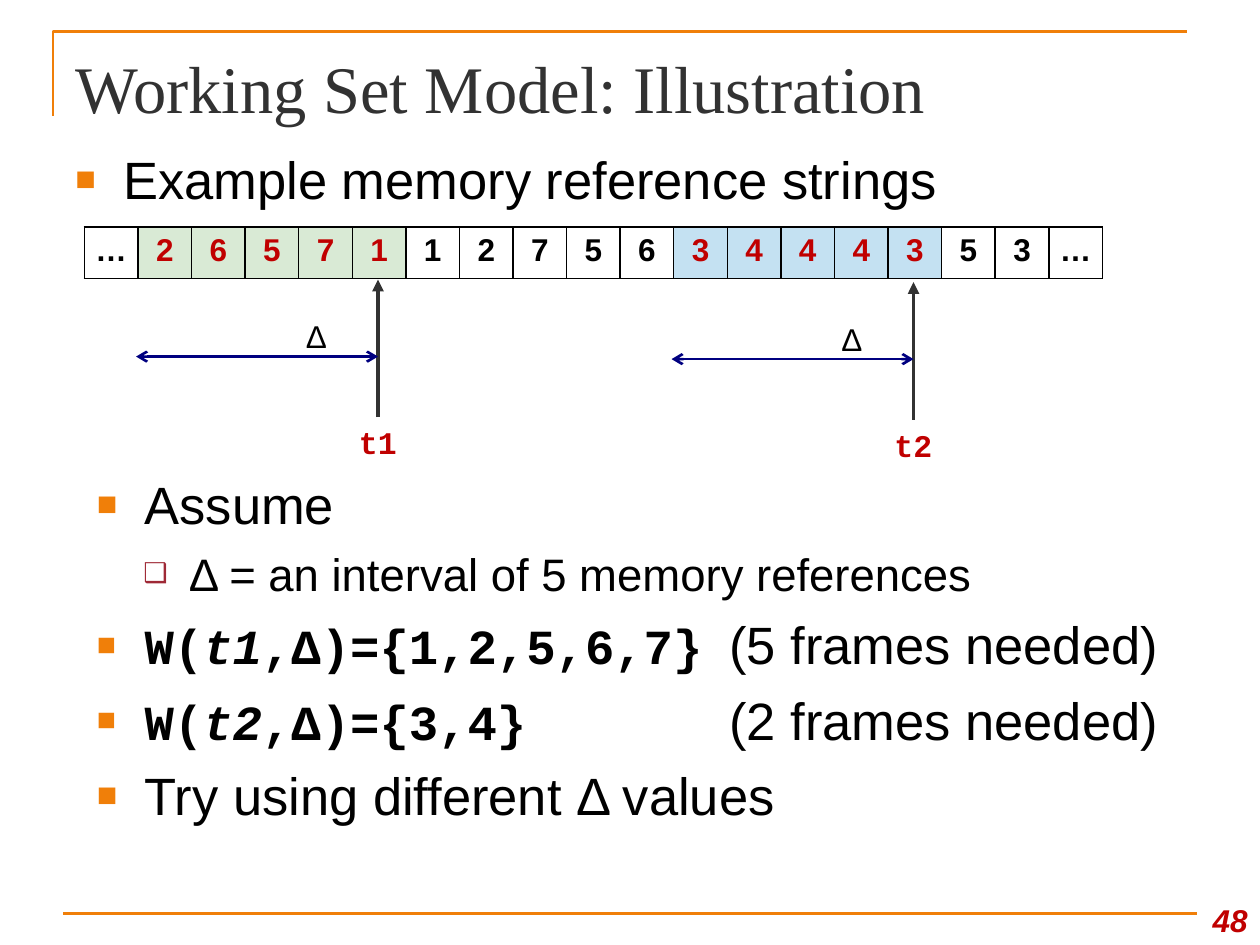
from lxml import etree
from pptx import Presentation
from pptx.dml.color import RGBColor
from pptx.enum.shapes import MSO_CONNECTOR
from pptx.enum.text import MSO_ANCHOR, PP_ALIGN
from pptx.oxml.ns import qn
from pptx.util import Inches, Pt

STRAIGHT = MSO_CONNECTOR.STRAIGHT
LEFT, CENTER, RIGHT = PP_ALIGN.LEFT, PP_ALIGN.CENTER, PP_ALIGN.RIGHT
TOP, MIDDLE, BOTTOM = MSO_ANCHOR.TOP, MSO_ANCHOR.MIDDLE, MSO_ANCHOR.BOTTOM

BLACK = RGBColor(0x00, 0x00, 0x00)
CHARCOAL = RGBColor(0x32, 0x32, 0x32)
ORANGE = RGBColor(0xF0, 0x7F, 0x09)
MAROON = RGBColor(0x9F, 0x29, 0x36)
RED = RGBColor(0xC0, 0x00, 0x00)
NAVY = RGBColor(0x00, 0x00, 0x80)
GREEN = RGBColor(0xD9, 0xEA, 0xD5)
BLUE = RGBColor(0xC4, 0xE1, 0xF2)

SANS, MONO, SERIF = "Arial", "Courier New", "Times New Roman"
REFERENCES = "… 2 6 5 7 1 1 2 7 5 6 3 4 4 4 3 5 3 …".split()
WINDOWS = ((range(1, 6), GREEN), (range(11, 16), BLUE))
FRAMES_TAB = 5.02


def set_font(font, size, name=SANS, color=BLACK, bold=False, italic=False):
    font.size, font.name, font.bold, font.italic = Pt(size), name, bold, italic
    font.color.rgb = color


def add_child(parent, tag, **attributes):
    return etree.SubElement(parent, qn(tag), attributes)


def add_line(page, start, end, color, width, head=None, tail=None):
    line = page.shapes.add_connector(STRAIGHT, *map(Inches, start + end))
    line.line.color.rgb = color
    line.line.width = Pt(width)
    outline = line.line._get_or_add_ln()
    for tag, kind in (("a:headEnd", head), ("a:tailEnd", tail)):
        if kind:
            add_child(outline, tag, type=kind)
    add_child(line._element.spPr, "a:effectLst")


def add_box(page, left, top, width, height, wrap=True, anchor=TOP):
    box = page.shapes.add_textbox(*map(Inches, (left, top, width, height)))
    box.text_frame.word_wrap = wrap
    box.text_frame.vertical_anchor = anchor
    return box.text_frame


def add_label(page, place, text, align=LEFT, wrap=True, anchor=TOP, **font):
    frame = add_box(page, *place, wrap=wrap, anchor=anchor)
    frame.margin_right = Inches(0.1 if align == RIGHT else 0)
    para = frame.paragraphs[0]
    para.text, para.alignment = text, align
    set_font(para.font, 18, **font)


def add_bullet(frame, text="", level=0, tab=None):
    """Add a bulleted paragraph, with a tab stop in inches if one is given."""
    first = not frame.paragraphs[0]._p.xpath("a:pPr")
    para = frame.paragraphs[0] if first else frame.add_paragraph()
    para.level = level
    margin, hanging, size, symbol, color, scale = (
        (0.38, 0.38, 30, "■", ORANGE, 65),
        (0.73, 0.36, 26, "❑", MAROON, 60))[level]
    if not first:
        para.space_before = Pt(size * 0.23)
    props = para._p.get_or_add_pPr()
    props.set("marL", str(Inches(margin)))
    props.set("indent", str(-Inches(hanging)))
    add_child(add_child(props, "a:buClr"), "a:srgbClr", val=str(color))
    add_child(props, "a:buSzPct", val=str(scale * 1000))
    add_child(props, "a:buFont", typeface=SANS)
    add_child(props, "a:buChar", char=symbol)
    if tab:
        stops = add_child(props, "a:tabLst")
        add_child(stops, "a:tab", pos=str(Inches(tab)), algn="l")
    set_font(para.font, size)
    if text:
        para.add_run().text = text
    return para


def add_working_set(frame, moment, pages, note):
    para = add_bullet(frame, tab=FRAMES_TAB)
    for text, italic in (("W(", False), (moment, True),
                         (f",Δ)={{{pages}}}", False)):
        span = para.add_run()
        span.text = text
        set_font(span.font, 28, MONO, bold=True, italic=italic)
    span = para.add_run()
    span.text = f"\t({note})"
    set_font(span.font, 30)


def set_borders(cell):
    props = cell._tc.get_or_add_tcPr()
    for index, side in enumerate(("a:lnL", "a:lnR", "a:lnT", "a:lnB")):
        edge = etree.Element(qn(side), w=str(Pt(1)))
        add_child(add_child(edge, "a:solidFill"), "a:srgbClr", val=str(BLACK))
        props.insert(index, edge)


def add_reference_string(page):
    place = map(Inches, (0.67, 1.8, 8.08, 0.41))
    table = page.shapes.add_table(1, len(REFERENCES), *place).table
    table.first_row = table.horz_banding = False
    for index, reference in enumerate(REFERENCES):
        table.columns[index].width = Inches(8.08 / len(REFERENCES))
        cell = table.cell(0, index)
        cell.margin_left = cell.margin_right = 0
        fill = next((tint for span, tint in WINDOWS if index in span), None)
        if fill:
            cell.fill.solid()
            cell.fill.fore_color.rgb = fill
        else:
            cell.fill.background()
        set_borders(cell)
        para = cell.text_frame.paragraphs[0]
        para.text, para.alignment = reference, CENTER
        set_font(para.font, 18, color=RED if fill else BLACK, bold=True)


def add_window(page, x, y, moment):
    """Mark a moment at x and the interval that ends there at y."""
    add_line(page, (x, y + 0.48), (x, y - 0.61), CHARCOAL, 2.25,
             tail="triangle")
    add_label(page, (x - 0.25, y + 0.48, 0.5, 0.4), moment,
              name=MONO, color=RED, bold=True)
    add_line(page, (x - 1.92, y), (x, y), NAVY, 1.5, "arrow", "arrow")
    add_label(page, (x - 0.67, y - 0.36, 0.35, 0.4), "Δ", wrap=False)


def add_frame_lines(page):
    corner = page.shapes.build_freeform(Inches(0.42), Inches(0.92))
    corner.add_line_segments([(Inches(0.42), Inches(0.25)),
                              (Inches(9.42), Inches(0.25))], close=False)
    shape = corner.convert_to_shape()
    shape.shadow.inherit = False
    shape.fill.background()
    shape.line.color.rgb = ORANGE
    shape.line.width = Pt(1.5)
    add_line(page, (0.5, 7.25), (9.5, 7.25), ORANGE, 1.5)


def set_title(page, text):
    title = page.shapes.title
    title.left, title.top = Inches(0.5), Inches(0.3)
    title.width, title.height = Inches(9), Inches(0.78)
    title.text_frame.vertical_anchor = MIDDLE
    para = title.text_frame.paragraphs[0]
    para.text, para.alignment = text, LEFT
    set_font(para.font, 38, SERIF, CHARCOAL)


def main():
    deck = Presentation()
    deck.slide_width, deck.slide_height = Inches(10), Inches(7.5)
    page = deck.slides.add_slide(deck.slide_layouts[5])
    add_frame_lines(page)
    set_title(page, "Working Set Model: Illustration")
    add_bullet(add_box(page, 0.5, 1.12, 9, 0.83),
               "Example memory reference strings")
    add_reference_string(page)
    add_window(page, 3, 2.83, "t1")
    add_window(page, 7.25, 2.85, "t2")

    notes = add_box(page, 0.67, 3.7, 8.83, 3.25)
    add_bullet(notes, "Assume")
    add_bullet(notes, "Δ = an interval of 5 memory references", level=1)
    add_working_set(notes, "t1", "1,2,5,6,7", "5 frames needed")
    add_working_set(notes, "t2", "3,4", "2 frames needed")
    add_bullet(notes, "Try using different Δ values")
    add_label(page, (9.42, 7, 0.58, 0.5), "48", RIGHT, anchor=BOTTOM,
              color=RED, bold=True, italic=True)
    deck.save("out.pptx")


if __name__ == "__main__":
    main()
